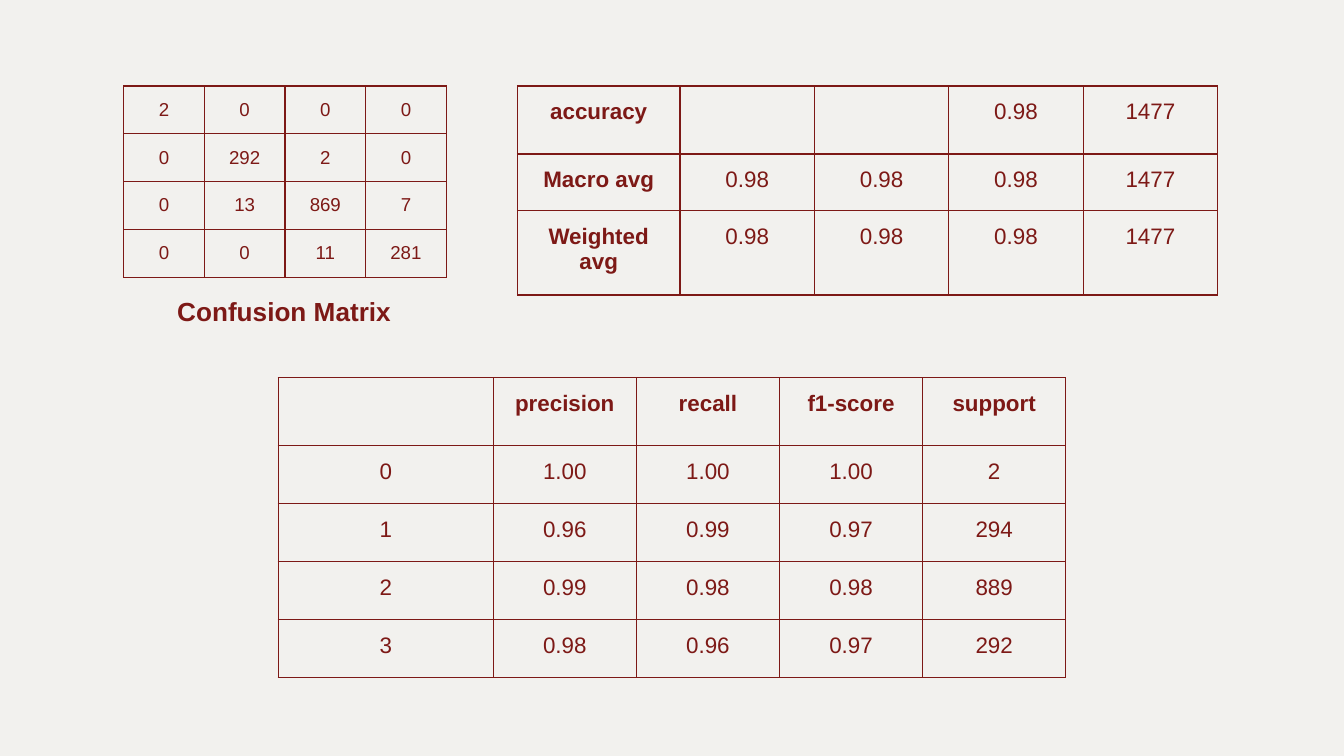
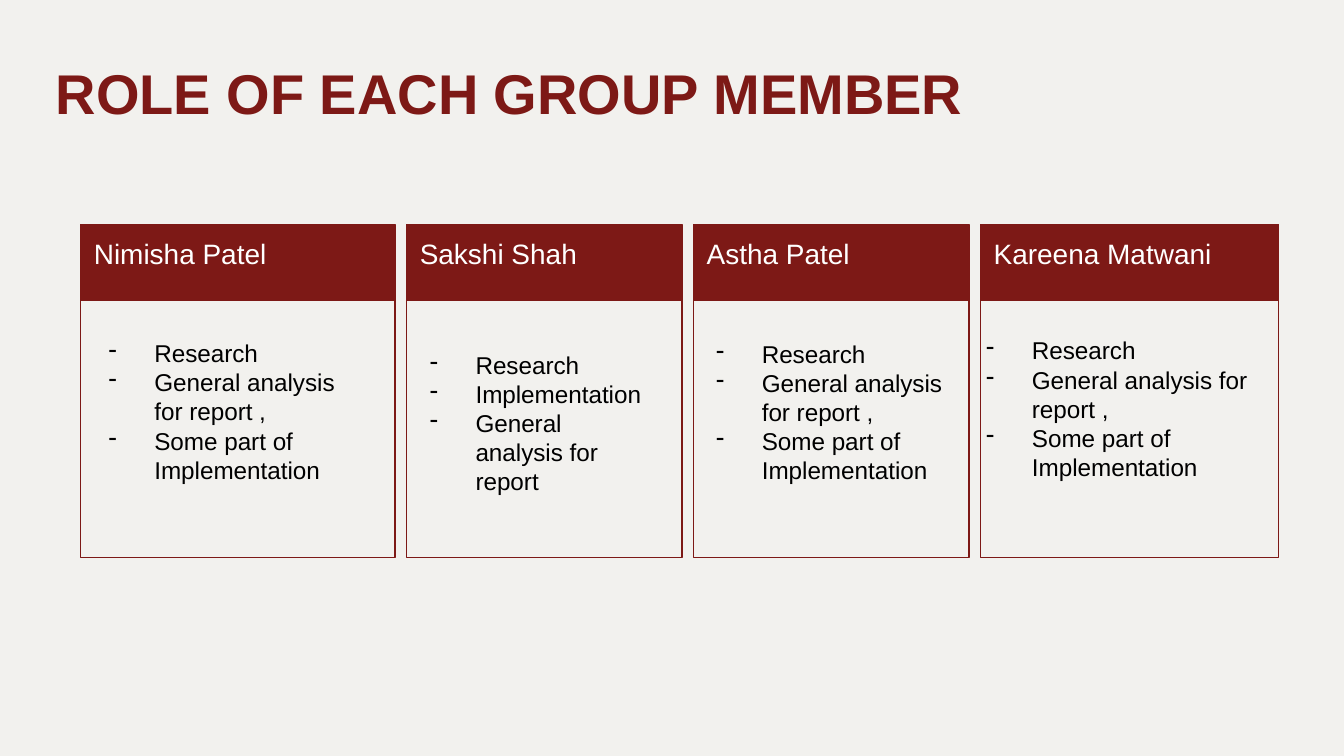
from dataclasses import dataclass

from lxml.etree import SubElement
from pptx import Presentation
from pptx.dml.color import RGBColor
from pptx.enum.shapes import MSO_SHAPE
from pptx.enum.text import MSO_ANCHOR, MSO_AUTO_SIZE, PP_ALIGN
from pptx.oxml.ns import qn
from pptx.util import Inches, Pt

COLORS = {"paper": "F2F1EE", "maroon": "7D1916", "white": "FFFFFF", "black": "000000"}
FONT = "Arial"
WIDTH, HEIGHT = Inches(10), Inches(5.625)
COLUMNS = 100
INSET = 1
RULE = Pt(0.75)
CARD_LEFT, CARD_TOP, CARD_GAP = 6, 16.7, 0.85
CARD_HEIGHT, BAND_HEIGHT, NAME_HEIGHT = 24.8, 5.7, 4.3
TASK_INDENT, TASK_HANG = 5, 3.4


@dataclass(frozen=True)
class Box:
    left: float
    top: float
    width: float
    height: float

    def emu(self) -> list[int]:
        return [grid(n) for n in (self.left, self.top, self.width, self.height)]


@dataclass(frozen=True)
class Grid:
    left: float
    top: float
    columns: list[float]
    rows: list[float]
    size: int
    cells: list[list[str]]


@dataclass(frozen=True)
class Card:
    name: str
    width: float
    body: Box
    tasks: list[str]
    bottom: float = INSET


SHARED_TASKS = ["Research", "General analysis for report ,", "Some part of Implementation"]
SAKSHI_TASKS = ["Research", "Implementation", "General analysis for report"]

AVERAGES = Grid(38.5, 6.4, [12.1] + [10] * 4, [4.2, 4.2, 6.3], 12, [
    ["accuracy", "", "", "0.98", "1477"],
    ["Macro avg", "0.98", "0.98", "0.98", "1477"],
    ["Weighted avg", "0.98", "0.98", "0.98", "1477"],
])
REPORT = Grid(20.7, 28.1, [16] + [10.65] * 4, [4.2] + [4.32] * 4, 12, [
    ["", "precision", "recall", "f1-score", "support"],
    ["0", "1.00", "1.00", "1.00", "2"],
    ["1", "0.96", "0.99", "0.97", "294"],
    ["2", "0.99", "0.98", "0.98", "889"],
    ["3", "0.98", "0.96", "0.97", "292"],
])
CONFUSION = Grid(9.2, 6.4, [6] * 4, [3.5] * 4, 10, [
    ["2", "0", "0", "0"],
    ["0", "292", "2", "0"],
    ["0", "13", "869", "7"],
    ["0", "0", "11", "281"],
])
CARDS = [
    Card("Nimisha Patel", 23.4, Box(5.5, 24.6, 22.2, 14.1), SHARED_TASKS, 3.1),
    Card("Sakshi Shah", 20.5, Box(29.4, 24.4, 19.6, 14.1), SAKSHI_TASKS),
    Card("Astha Patel", 20.5, Box(50.7, 25.9, 21.3, 9.5), SHARED_TASKS),
    Card("Kareena Matwani", 22.2, Box(70.8, 23.3, 23.4, 16.3), SHARED_TASKS, 3.1),
]


def grid(cells: float) -> int:
    return round(WIDTH * cells / COLUMNS)


def rgb(name: str) -> RGBColor:
    return RGBColor.from_string(COLORS[name])


def style(tf, size: int, color: str, bold: bool = False) -> None:
    for p in tf.paragraphs:
        for r in p.runs:
            r.font.name = FONT
            r.font.size = Pt(size)
            r.font.bold = bold
            r.font.color.rgb = rgb(color)


def set_margins(target, x: float = INSET, y: float = INSET) -> None:
    target.margin_left = target.margin_right = grid(x)
    target.margin_top = target.margin_bottom = grid(y)


def add_text(s, box: Box, text: str, size: int, color: str, bold: bool = False,
             anchor: MSO_ANCHOR = MSO_ANCHOR.MIDDLE):
    tf = s.shapes.add_textbox(*box.emu()).text_frame
    tf.word_wrap = True
    tf.vertical_anchor = anchor
    set_margins(tf)
    tf.text = text
    style(tf, size, color, bold)
    return tf


def add_rect(s, box: Box, filled: bool) -> None:
    sp = s.shapes.add_shape(MSO_SHAPE.RECTANGLE, *box.emu())
    sp.shadow.inherit = False
    if filled:
        sp.fill.solid()
        sp.fill.fore_color.rgb = rgb("maroon")
        sp.line.fill.background()
    else:
        sp.fill.background()
        sp.line.color.rgb = rgb("maroon")
        sp.line.width = RULE


def add_borders(cell) -> None:
    tc_pr = cell._tc.get_or_add_tcPr()
    for side in ("lnL", "lnR", "lnT", "lnB"):
        ln = SubElement(tc_pr, qn(f"a:{side}"), w=str(RULE))
        fill = SubElement(ln, qn("a:solidFill"))
        SubElement(fill, qn("a:srgbClr"), val=COLORS["maroon"])


def add_grid(s, g: Grid) -> None:
    box = Box(g.left, g.top, sum(g.columns), sum(g.rows))
    table = s.shapes.add_table(len(g.rows), len(g.columns), *box.emu()).table
    table.first_row = table.horz_banding = False
    for column, width in zip(table.columns, g.columns):
        column.width = grid(width)
    for row, height, texts in zip(table.rows, g.rows, g.cells):
        row.height = grid(height)
        for cell, text in zip(row.cells, texts):
            set_margins(cell)
            add_borders(cell)
            cell.fill.background()
            if text:
                cell.text = text
                cell.text_frame.paragraphs[0].alignment = PP_ALIGN.CENTER
                style(cell.text_frame, g.size, "maroon", text[0].isalpha())


def add_dash(p) -> None:
    p_pr = p._p.get_or_add_pPr()
    p_pr.set("marL", str(grid(TASK_INDENT)))
    p_pr.set("indent", str(-grid(TASK_HANG)))
    color = SubElement(p_pr, qn("a:buClr"))
    SubElement(color, qn("a:srgbClr"), val=COLORS["black"])
    SubElement(p_pr, qn("a:buChar"), char="-")


def add_card(s, card: Card, left: float) -> None:
    add_rect(s, Box(left, CARD_TOP, card.width, CARD_HEIGHT), False)
    add_rect(s, Box(left, CARD_TOP, card.width, BAND_HEIGHT), True)
    add_text(s, Box(left, CARD_TOP, card.width, NAME_HEIGHT), card.name, 15, "white")
    tf = add_text(s, card.body, "\n".join(card.tasks), 13, "black")
    tf.margin_bottom = grid(card.bottom)
    for p in tf.paragraphs:
        add_dash(p)


def add_title(s, text: str) -> None:
    sp = s.shapes.title
    sp.left, sp.top, sp.width, sp.height = Box(3.4, 3.5, 93.2, 6.3).emu()
    tf = sp.text_frame
    tf.text = text
    tf.auto_size = MSO_AUTO_SIZE.NONE
    tf.vertical_anchor = MSO_ANCHOR.BOTTOM
    set_margins(tf, 0.75, 0.4)
    p = tf.paragraphs[0]
    p.alignment = PP_ALIGN.LEFT
    p.line_spacing = 0.9
    style(tf, 30, "maroon", True)


def build_results(prs) -> None:
    s = prs.slides.add_slide(prs.slide_layouts.get_by_name("Blank"))
    for g in (AVERAGES, REPORT, CONFUSION):
        add_grid(s, g)
    tf = add_text(s, Box(3.8, 21, 34.7, 4.4), "Confusion Matrix", 14, "maroon", True,
                  MSO_ANCHOR.TOP)
    tf.auto_size = MSO_AUTO_SIZE.SHAPE_TO_FIT_TEXT
    tf.paragraphs[0].alignment = PP_ALIGN.CENTER


def build_roles(prs) -> None:
    s = prs.slides.add_slide(prs.slide_layouts.get_by_name("Title Only"))
    add_title(s, "ROLE OF EACH GROUP MEMBER")
    left = CARD_LEFT
    for card in CARDS:
        add_card(s, card, left)
        left += card.width + CARD_GAP


def main() -> None:
    prs = Presentation()
    prs.slide_width, prs.slide_height = WIDTH, HEIGHT
    background = prs.slide_master.background.fill
    background.solid()
    background.fore_color.rgb = rgb("paper")
    build_results(prs)
    build_roles(prs)
    prs.save("out.pptx")


if __name__ == "__main__":
    main()
